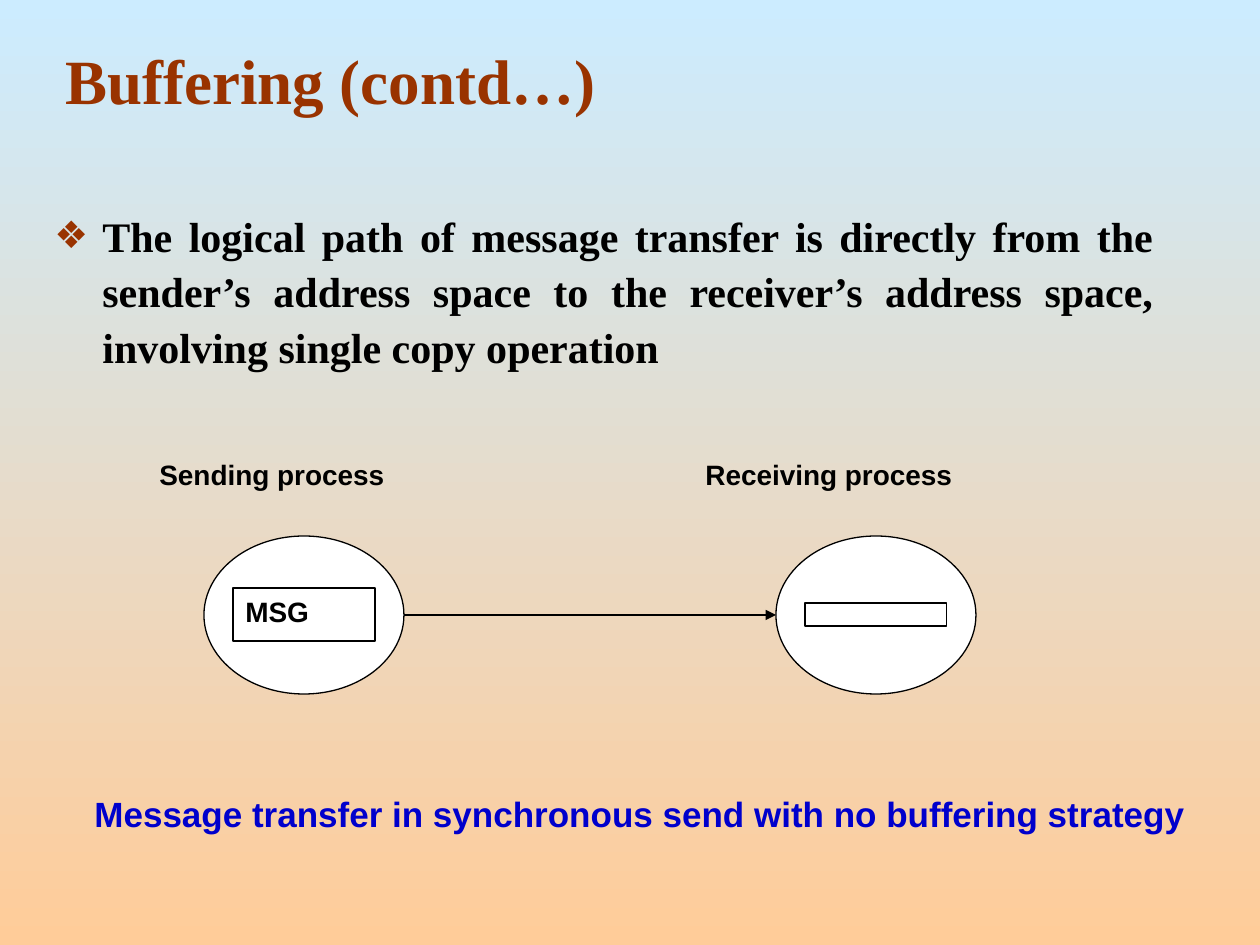
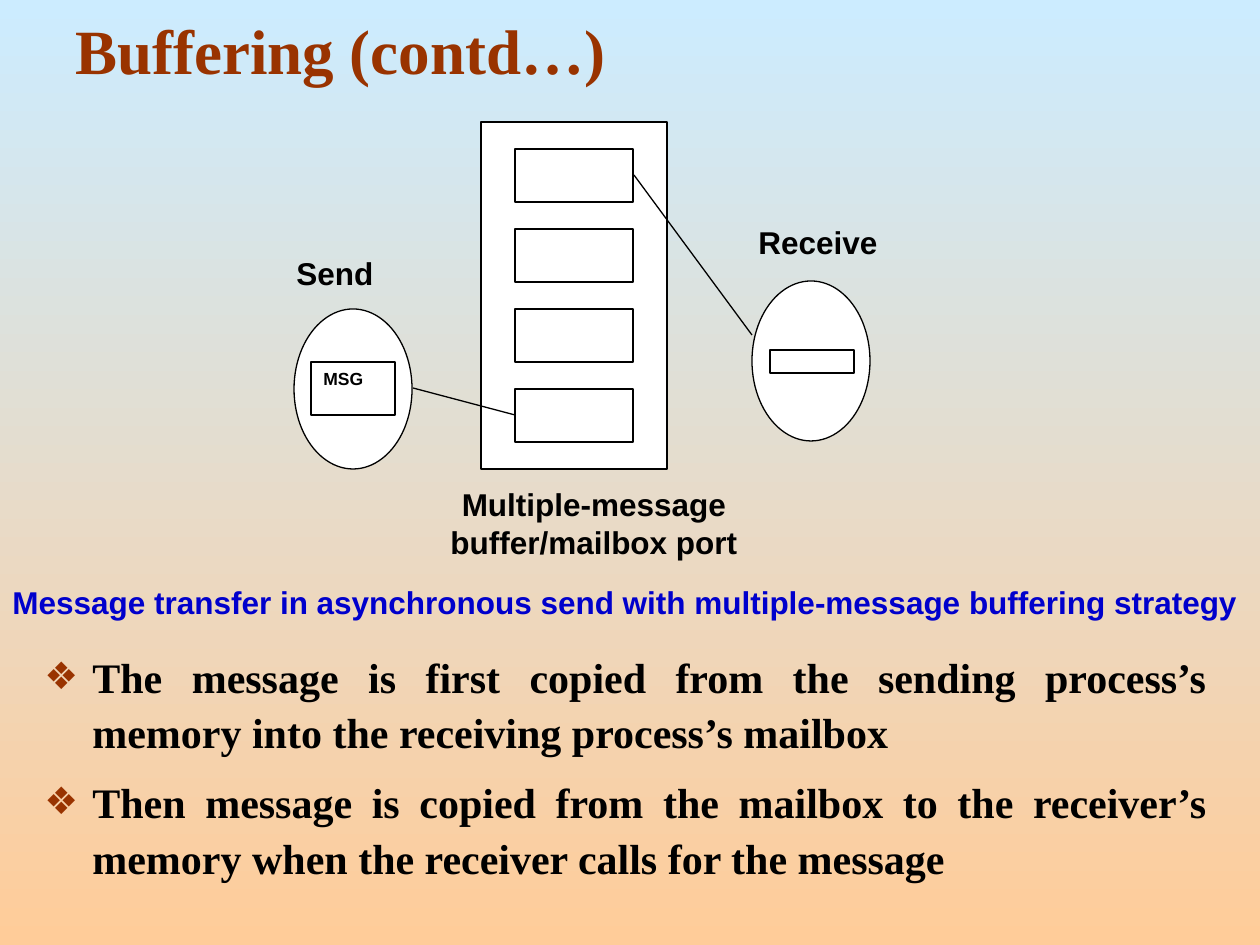
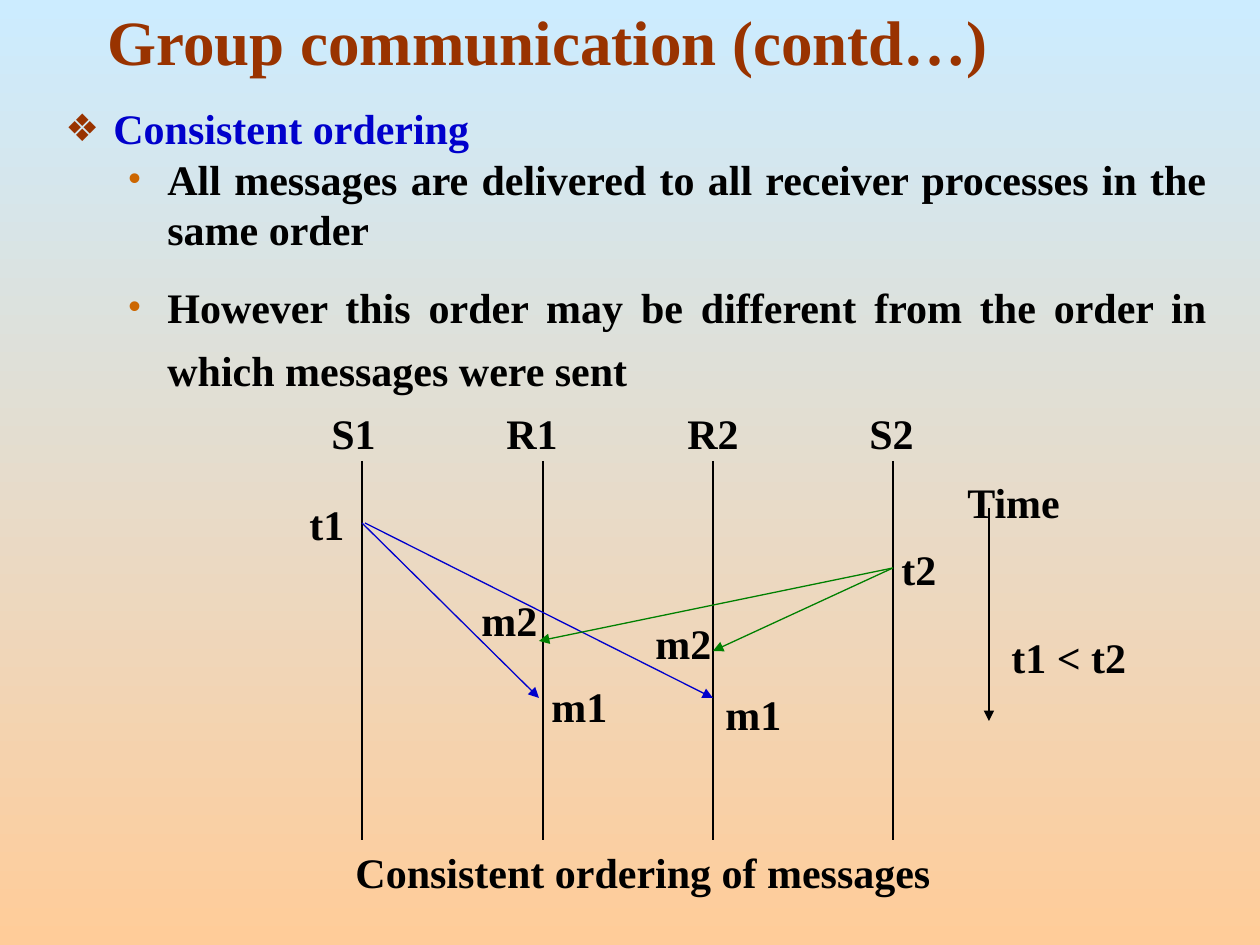
from lxml import etree
from pptx import Presentation
from pptx.dml.color import RGBColor
from pptx.enum.shapes import MSO_CONNECTOR, MSO_SHAPE
from pptx.enum.text import MSO_ANCHOR, PP_ALIGN
from pptx.oxml.ns import qn
from pptx.util import Pt

SCALE = 7257
OVAL, RECT = MSO_SHAPE.OVAL, MSO_SHAPE.RECTANGLE
STRAIGHT = MSO_CONNECTOR.STRAIGHT
TOP, MIDDLE, BOTTOM = MSO_ANCHOR.TOP, MSO_ANCHOR.MIDDLE, MSO_ANCHOR.BOTTOM
LEFT, CENTER, JUSTIFY = PP_ALIGN.LEFT, PP_ALIGN.CENTER, PP_ALIGN.JUSTIFY
SERIF, SANS = "Times New Roman", "Arial"
COLORS = {
    "sky": "CCECFF", "peach": "FFCC99", "rust": "993300", "orange": "CC6600",
    "black": "000000", "white": "FFFFFF", "blue": "0000CC", "green": "008000",
}
BULLETS = [("❖", "rust", 90000, 48, -48), ("•", "orange", 85000, 102, -39)]


def rgb(name):
    return RGBColor.from_string(COLORS[name])


def write(para, text, size, color="black", font=SERIF, align=LEFT):
    para.text = text
    para.alignment = align
    para.font.size = Pt(size)
    para.font.name = font
    para.font.bold = True
    para.font.color.rgb = rgb(color)


deck = Presentation()
deck.slide_width, deck.slide_height = 1260 * SCALE, 945 * SCALE
background = deck.slide_master.background.fill
background.gradient()
background.gradient_angle = 270
for stop, color, position in zip(background.gradient_stops, ("sky", "peach"), (0, 1)):
    stop.color.rgb = rgb(color)
    stop.position = position

no_buffer = {
    "title": ("Buffering (contd…)", (53, 0, 1134, 158), MIDDLE),
    "body": (42, 199, 1124, 210),
    "points": [
        ("The logical path of message transfer is directly from the sender’s address space "
         "to the receiver’s address space, involving single copy operation", 0, 1.1, "black"),
    ],
    "shapes": [
        (OVAL, (204, 536, 200, 158), "", 16),
        (OVAL, (776, 536, 200, 158), "", 16),
        (RECT, (805, 603, 142, 23), "", 16),
        (RECT, (233, 588, 142, 53), "MSG", 16),
    ],
    "lines": [((404, 615), (776, 615), "black", 0.75, True)],
    "labels": [
        ("Sending process", (147, 451, 325, 47), 16, "black", SANS, LEFT, 1),
        ("Receiving process", (693, 451, 336, 47), 16, "black", SANS, LEFT, 1),
        ("Message transfer in synchronous send with no buffering strategy",
         (73, 774, 1134, 130), 20, "blue", SANS, CENTER, 1.3),
    ],
}

mailbox = {
    "title": ("Buffering (contd…)", (63, 0, 1134, 98), MIDDLE),
    "body": (32, 640, 1187, 262),
    "points": [
        ("The message is first copied from the sending process’s memory into the "
         "receiving process’s mailbox", 0, 1.1, "black"),
        ("Then message is copied from the mailbox to the receiver’s memory when the "
         "receiver calls for the message", 0, 1.1, "black"),
    ],
    "shapes": [
        (OVAL, (294, 309, 118, 160), "", 10),
        (RECT, (311, 362, 84, 53), "MSG", 10),
        (RECT, (481, 122, 186, 347), "", 10),
        *[(RECT, (515, 149 + 80 * slot, 118, 53), "", 10) for slot in range(4)],
        (OVAL, (752, 281, 118, 160), "", 10),
        (RECT, (770, 350, 84, 23), "", 10),
    ],
    "lines": [
        ((413, 388), (515, 415), "black", 0.75, False),
        ((634, 175), (752, 335), "black", 0.75, False),
    ],
    "labels": [
        ("Send", (284, 248, 158, 50), 18, "black", SANS, LEFT, 1),
        ("Receive", (746, 217, 202, 50), 18, "black", SANS, LEFT, 1),
        ("Multiple-message buffer/mailbox port", (410, 479, 368, 88), 18, "black", SANS, CENTER, 1),
        ("Message transfer in asynchronous send with multiple-message buffering strategy",
         (0, 577, 1260, 50), 18, "blue", SANS, LEFT, 1),
    ],
}

timeline_labels = [
    ("S1", 319, 401, 86), ("R1", 494, 401, 106), ("R2", 675, 401, 106), ("S2", 857, 401, 89),
    ("t1", 297, 492, 84), ("t2", 889, 537, 86),
    ("m1", 539, 674, 103), ("m2", 469, 588, 147), ("m1", 713, 682, 93), ("m2", 643, 611, 115),
    ("t1 < t2", 999, 625, 160), ("Time", 955, 470, 135),
    ("Consistent ordering of messages", 262, 840, 762),
]
ordering = {
    "title": ("Group communication (contd…)", (95, 0, 1113, 84), BOTTOM),
    "body": (53, 84, 1166, 850),
    "points": [
        ("Consistent ordering", 0, 1.25, "blue"),
        ("All messages are delivered to all receiver processes in the same order", 1, 1, "black"),
        ("However this order may be different from the order in which messages were sent",
         1, 1.25, "black"),
    ],
    "shapes": [],
    "lines": [
        *[((x, 461), (x, 840), "black", 1.5, False) for x in (362, 543, 713, 893)],
        ((362, 523), (539, 698), "blue", 0.75, True),
        ((365, 523), (713, 698), "blue", 0.75, True),
        ((893, 568), (539, 641), "green", 0.75, True),
        ((893, 568), (713, 651), "green", 0.75, True),
        ((989, 508), (989, 721), "black", 0.75, True),
    ],
    "labels": [
        (text, (x, y, width, 63), 24, "black", SERIF, CENTER if width > 700 else LEFT, 1)
        for text, x, y, width in timeline_labels
    ],
}

for content in (no_buffer, mailbox, ordering):
    page = deck.slides.add_slide(deck.slide_layouts[6])

    body = page.shapes.add_textbox(*[v * SCALE for v in content["body"]]).text_frame
    body.word_wrap = True
    for index, (text, level, spacing, color) in enumerate(content["points"]):
        para = body.add_paragraph() if index else body.paragraphs[0]
        symbol, bullet_color, bullet_size, margin, indent = BULLETS[level]
        para.level = level
        para.line_spacing = spacing
        if index and spacing > 1:
            para.space_before = Pt(8.4)
        properties = para._p.get_or_add_pPr()
        properties.set("marL", str(margin * SCALE))
        properties.set("indent", str(indent * SCALE))
        tint = etree.SubElement(properties, qn("a:buClr"))
        etree.SubElement(tint, qn("a:srgbClr"), val=COLORS[bullet_color])
        etree.SubElement(properties, qn("a:buSzPct"), val=str(bullet_size))
        etree.SubElement(properties, qn("a:buFont"), typeface=SANS)
        etree.SubElement(properties, qn("a:buChar"), char=symbol)
        write(para, text, 24, color, align=JUSTIFY)

    for kind, place, text, size in content["shapes"]:
        shape = page.shapes.add_shape(kind, *[v * SCALE for v in place])
        shape.shadow.inherit = False
        shape.fill.solid()
        shape.fill.fore_color.rgb = rgb("white")
        shape.line.color.rgb = rgb("black")
        shape.line.width = Pt(0.75)
        if text:
            shape.text_frame.vertical_anchor = TOP
            write(shape.text_frame.paragraphs[0], text, size, font=SANS)

    for start, end, color, weight, arrow in content["lines"]:
        line = page.shapes.add_connector(STRAIGHT, *[v * SCALE for v in start + end])
        line.line.color.rgb = rgb(color)
        line.line.width = Pt(weight)
        if arrow:
            etree.SubElement(line.line._get_or_add_ln(), qn("a:tailEnd"), type="triangle")
        etree.SubElement(line._element.spPr, qn("a:effectLst"))

    for text, place, size, color, font, align, spacing in content["labels"]:
        label = page.shapes.add_textbox(*[v * SCALE for v in place]).text_frame
        label.word_wrap = True
        label.paragraphs[0].line_spacing = spacing
        write(label.paragraphs[0], text, size, color, font, align)

    text, place, anchor = content["title"]
    title = page.shapes.add_textbox(*[v * SCALE for v in place]).text_frame
    title.word_wrap = True
    title.vertical_anchor = anchor
    write(title.paragraphs[0], text, 36, "rust")

deck.save("out.pptx")
